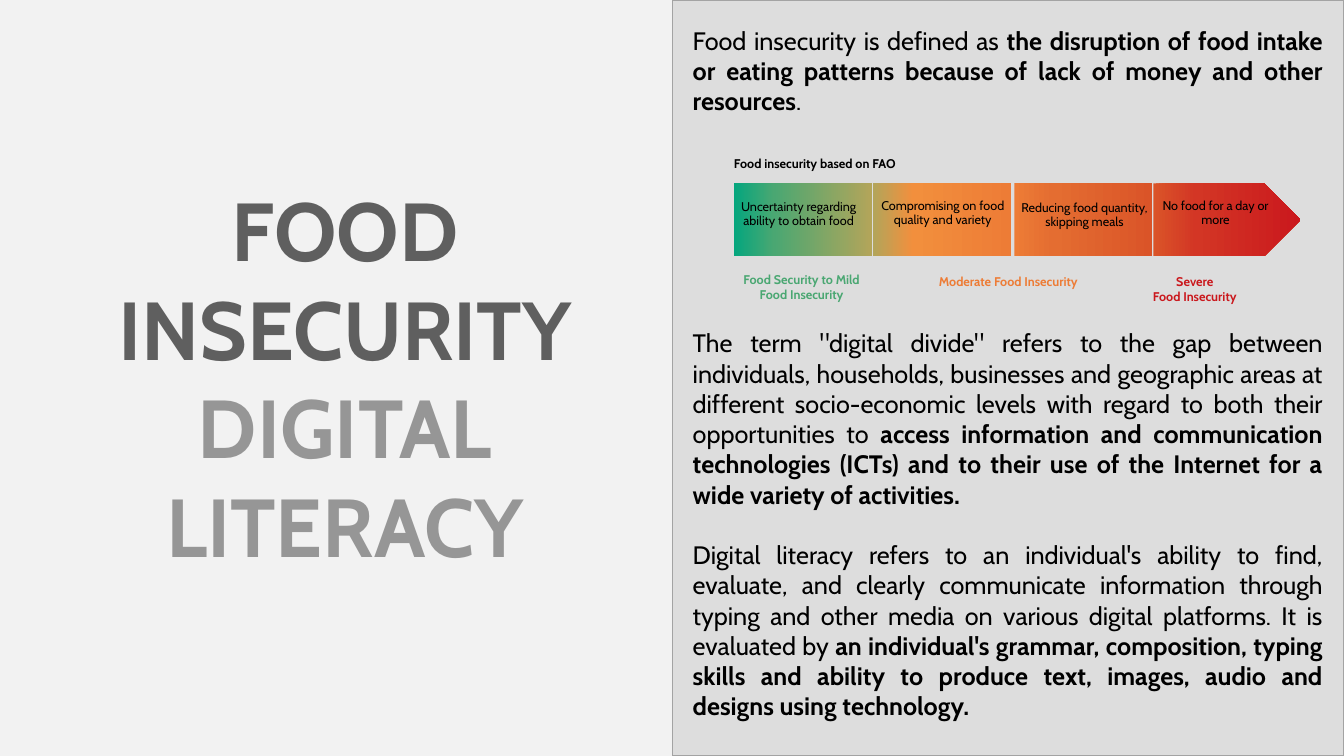
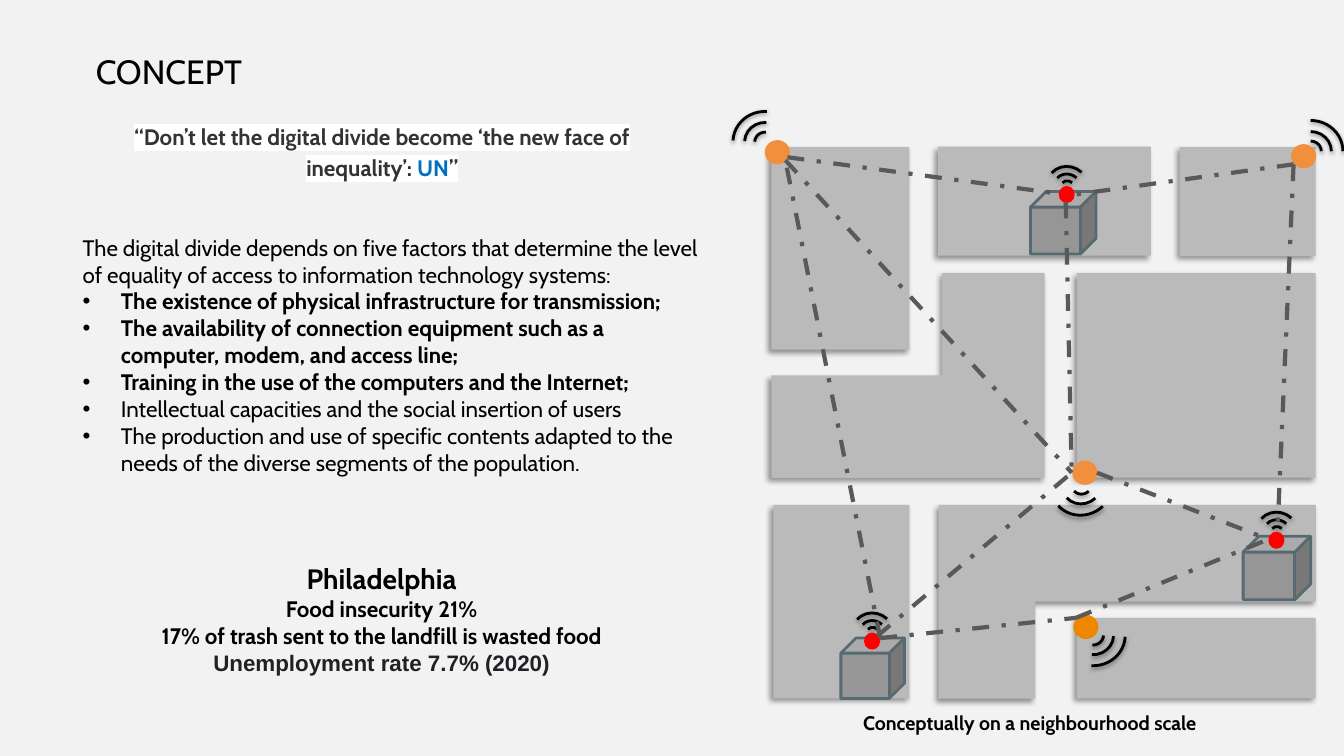
from copy import deepcopy

from pptx import Presentation
from pptx.dml.color import RGBColor
from pptx.enum.dml import MSO_LINE as Dash
from pptx.enum.shapes import MSO_CONNECTOR as Conn, MSO_SHAPE as Geo
from pptx.enum.text import MSO_ANCHOR as Anchor, MSO_AUTO_SIZE as Fit, PP_ALIGN as Align
from pptx.oxml import parse_xml
from pptx.oxml.ns import nsdecls, qn
from pptx.util import Emu, Pt


class Theme:
    font, alt = "Cabin", "Arial"
    back, panel, edge = "F2F2F2", "DDDDDD", "A3A3A3"
    black, dark, mid, ink, quote = "000000", "5F5F5F", "969696", "202124", "333333"
    white, blue, red = "FFFFFF", "0070C0", "FF0000"
    green, orange, severe = "4AA772", "ED7C36", "CA181D"
    block, cube, rim, link = "BABABA", "969696", "576971", "595959"
    tower, amber = "F28F3D", "EF8600"
    hero, title, lead, body, head, note, tiny = 58.7, 24, 18, 16, 20, 14, 9
    cast = ("000000", 40, 4, 3, 135)
    glow = ("000000", 38, 3.1, 1.6, 90)


SIZE = (1333, 750)
PANEL = (667, 0, 666, 750)
HERO = ["FOOD INSECURITY", "DIGITAL LITERACY"]
INTRO = [
    "Food insecurity is defined as *the disruption of food intake or eating patterns "
    "because of lack of money and other resources*.",
    'The term "digital divide" refers to the gap between individuals, households, '
    "businesses and geographic areas at different socio-economic levels with regard to "
    "both their opportunities to *access information and communication technologies "
    "(ICTs) and to their use of the Internet for a wide variety of activities.*",
    "Digital literacy refers to an individual's ability to find, evaluate, and clearly "
    "communicate information through typing and other media on various digital platforms. "
    "It is evaluated by *an individual's grammar, composition, typing skills and ability "
    "to produce text, images, audio and designs using technology.*",
]
GAPS = (0, 151.3, 21.6)

SCALE = "Food insecurity based on FAO"
STEPS = [
    (Geo.RECTANGLE, 728, 137, ("04A67E", "4AA772", "B3A55A"),
     "Uncertainty regarding ability to obtain food", (713, 192, 158, 41)),
    (Geo.RECTANGLE, 866, 137, ("B3A55A", "F28F3D", "ED7C36"),
     "Compromising on food quality and variety", (856, 191, 158, 41)),
    (Geo.RECTANGLE, 1006, 137, ("ED7C36", "E46D31", "DA5428"),
     "Reducing food quantity, skipping meals", (994, 193, 163, 41)),
    (Geo.PENTAGON, 1144, 146, ("DA5428", "D33625", "CA181D"),
     "No food for a day or more", (1136, 191, 139, 60)),
]
STOPS = (0, 0.29, 1)
LEVELS = [
    (["Food Security to Mild Food Insecurity"], (710, 263, 170, 44), Theme.green),
    (["Moderate Food Insecurity"], (915, 265, 170, 59), Theme.orange),
    (["Severe", "Food Insecurity"], (1100, 265, 170, 44), Theme.severe),
]

FACTORS = [
    "The digital divide depends on five factors that determine the level of equality of "
    "access to information technology systems:",
    "•*The existence of physical infrastructure for transmission;*",
    "•*The availability of connection equipment such as a computer, modem, and access line;*",
    "•*Training in the use of the computers and the Internet;*",
    "•Intellectual capacities and the social insertion of users",
    "•The production and use of specific contents adapted to the needs of the diverse "
    "segments of the population.",
]
CITY = [
    "Philadelphia",
    "Food insecurity 21%",
    "17% of trash sent to the landfill is wasted food",
    "Unemployment rate 7.7% (2020)",
]
QUOTE = ["“Don’t let the digital divide become ‘the new face of inequality’: *UN*”"]
CAPTION = ["Conceptually on a neighbourhood scale"]

BLOCKS = [
    (Geo.CORNER, (799, 237, 203, 271), 270),
    (Geo.RECTANGLE, (765, 146, 137, 201), 0),
    (Geo.RECTANGLE, (982, 94, 108, 211), 270),
    (Geo.RECTANGLE, (1170, 146, 135, 108), 0),
    (Geo.RECTANGLE, (1068, 271, 237, 203), 0),
    (Geo.CORNER, (1022, 410, 192, 374), 90),
    (Geo.RECTANGLE, (1068, 613, 237, 80), 0),
    (Geo.RECTANGLE, (767, 501, 135, 192), 0),
]
TOWERS = [
    ((1293, 155), (1300, 150), 0, Theme.tower),
    ((1076, 469), (1073, 480), 137.1, Theme.tower),
    ((771, 151), (759, 141), 273.1, Theme.tower),
    ((1077, 622), (1084, 630), 93.1, Theme.amber),
]
HUBS = [
    ((834, 633, 63, 60), (865, 636)),
    ((1022, 190, 65, 62), (1058, 193)),
    ((1233, 532, 67, 63), (1266, 536)),
]
WIDE = [(21, 20), (41, 39), (64, 61)]
SMALL = [(14, 13), (28, 26), (43, 41)]
LINKS = [
    (870, 631, 1063, 469), (1088, 469, 1258, 535), (779, 159, 1063, 469),
    (1057, 200, 1063, 473), (1283, 163, 1066, 193), (1283, 163, 1267, 528),
    (873, 633, 779, 159), (781, 156, 1049, 192), (873, 633, 1067, 613),
    (1067, 613, 1258, 535),
]


def px(val):
    return Emu(round(val * 9144))


def rgb(code):
    return RGBColor.from_string(code)


def write(shape, paras, size, tone=Theme.black, align=Align.LEFT, bold=False,
          lead=1, gaps=(), pad=(13, 7)):
    frame = shape.text_frame
    frame.word_wrap = True
    frame.auto_size = Fit.SHAPE_TO_FIT_TEXT
    frame.vertical_anchor = Anchor.TOP
    frame.margin_left = frame.margin_right = px(pad[0])
    frame.margin_top = frame.margin_bottom = px(pad[1])
    for num, text in enumerate(paras):
        para = frame.add_paragraph() if num else frame.paragraphs[0]
        mark(para, text.startswith("•"))
        para.alignment = align
        para.line_spacing = lead
        para.space_before = Pt(gaps[num] if gaps else 0)
        for turn, part in enumerate(text.lstrip("•").split("*")):
            if part:
                run = para.add_run()
                run.text = part
                font = run.font
                font.name, font.size = Theme.font, Pt(size)
                font.bold = bold or turn % 2 == 1
                font.color.rgb = rgb(tone)
    return frame.paragraphs


def mark(para, dot):
    props = para._p.get_or_add_pPr()
    hang = px(38) if dot else 0
    props.set("marL", str(hang))
    props.set("indent", str(-hang))
    tags = ['<a:buFont %s typeface="Arial"/>', '<a:buChar %s char="•"/>'] if dot else ["<a:buNone %s/>"]
    for tag in tags:
        props.append(parse_xml(tag % nsdecls("a")))


def place(shape, box):
    shape.left, shape.top, shape.width, shape.height = map(px, box)
    return shape


def label(slide, box, paras, size, **style):
    return write(slide.shapes.add_textbox(*map(px, box)), paras, size, **style)


def draw(slide, geo, box, fill=None, line=None, width=1, rot=0, shade=None):
    shape = slide.shapes.add_shape(geo, *map(px, box))
    shape.rotation = rot
    shape.shadow.inherit = False
    if fill:
        shape.fill.solid()
        shape.fill.fore_color.rgb = rgb(fill)
    else:
        shape.fill.background()
    if line:
        shape.line.color.rgb = rgb(line)
        shape.line.width = Pt(width)
    else:
        shape.line.fill.background()
    if shade:
        tone, alpha, blur, dist, turn = shade
        shape.element.spPr.find(qn("a:effectLst")).append(parse_xml(
            f'<a:outerShdw {nsdecls("a")} blurRad="{Pt(blur)}" dist="{Pt(dist)}" '
            f'dir="{turn * 60000}" algn="ctr" rotWithShape="0"><a:srgbClr val="{tone}">'
            f'<a:alpha val="{alpha * 1000}"/></a:srgbClr></a:outerShdw>'))
    return shape


def blend(shape, tones):
    fill = shape.fill
    fill.gradient()
    fill.gradient_angle = 0
    first = shape.element.spPr.find(qn("a:gradFill")).find(qn("a:gsLst"))[0]
    first.addnext(deepcopy(first))
    for stop, tone, pos in zip(fill.gradient_stops, tones, STOPS):
        stop.color.rgb = rgb(tone)
        stop.position = pos


def around(spot, size):
    return (spot[0] - size[0] / 2, spot[1] - size[1] / 2, *size)


def waves(slide, spot, rot, rings):
    for ring in rings:
        size = ring[::-1] if 45 <= rot % 180 < 135 else ring
        draw(slide, Geo.ARC, around(spot, size), line=Theme.black, width=2,
             rot=rot, shade=Theme.glow)


def join(slide, ends):
    line = slide.shapes.add_connector(Conn.STRAIGHT, *map(px, ends))
    line.line.color.rgb = rgb(Theme.link)
    line.line.width = Pt(3)
    line.line.dash_style = Dash.DASH_DOT
    line.element.spPr.append(parse_xml(f'<a:effectLst {nsdecls("a")}/>'))


def start(deck):
    slide = deck.slides.add_slide(deck.slide_layouts[1])
    return slide, slide.shapes.title, slide.placeholders[1]


def define(deck):
    slide, title, body = start(deck)
    panel = draw(slide, Geo.RECTANGLE, PANEL, Theme.panel, Theme.edge)
    title.element.addprevious(panel.element)
    lines = write(place(title, (29, 171, 626, 408)), HERO, Theme.hero, Theme.dark,
                  Align.CENTER, True)
    lines[1].runs[0].font.color.rgb = rgb(Theme.mid)
    write(place(body, (674, 18, 651, 710)), INTRO, Theme.lead, align=Align.JUSTIFY, gaps=GAPS)
    for geo, left, wide, tones, _, _ in STEPS:
        blend(draw(slide, geo, (left, 182, wide, 72)), tones)
    for *_, text, box in STEPS:
        label(slide, box, [text], Theme.tiny, align=Align.CENTER, lead=0.9)
    for paras, box, tone in LEVELS:
        label(slide, box, paras, Theme.tiny, tone=tone, align=Align.CENTER, bold=True)
    label(slide, (715, 148, 333, 29), [SCALE], Theme.tiny, bold=True)


def concept(deck):
    slide, title, body = start(deck)
    write(place(title, (85, 45, 797, 50)), ["CONCEPT"], Theme.title, pad=(10, 5))
    write(place(body, (69, 225, 639, 283)), FACTORS, Theme.body)
    city = label(slide, (33, 550, 691, 128), CITY, Theme.body, align=Align.CENTER, bold=True)
    city[0].runs[0].font.size = Pt(Theme.head)
    rate = city[-1].runs[0].font
    rate.name, rate.color.rgb = Theme.alt, rgb(Theme.ink)

    for geo, box, rot in BLOCKS:
        draw(slide, geo, box, Theme.block, rot=rot, shade=Theme.cast)
    for spot, hub, rot, tone in TOWERS:
        waves(slide, hub, rot, WIDE)
        draw(slide, Geo.OVAL, around(spot, (25, 24)), tone)
    for box, spot in HUBS:
        draw(slide, Geo.CUBE, box, Theme.cube, Theme.rim, 2)
        waves(slide, (spot[0] + 1, spot[1] - 7), 312.4, SMALL)
        draw(slide, Geo.OVAL, around(spot, (16, 17)), Theme.red)
    for ends in LINKS:
        join(slide, ends)

    label(slide, (843, 698, 403, 37), CAPTION, Theme.note, align=Align.JUSTIFY, bold=True)
    quote = label(slide, (80, 111, 598, 147), QUOTE, Theme.body, tone=Theme.quote,
                  align=Align.CENTER, bold=True, lead=1.15)
    for run in quote[0].runs:
        run.font._element.find(qn("a:latin")).addprevious(parse_xml(
            f'<a:highlight {nsdecls("a")}><a:srgbClr val="{Theme.white}"/></a:highlight>'))
    quote[0].runs[1].font.color.rgb = rgb(Theme.blue)


def main():
    deck = Presentation()
    deck.slide_width, deck.slide_height = map(px, SIZE)
    back = deck.slide_master.background.fill
    back.solid()
    back.fore_color.rgb = rgb(Theme.back)
    define(deck)
    concept(deck)
    deck.save("out.pptx")


if __name__ == "__main__":
    main()
